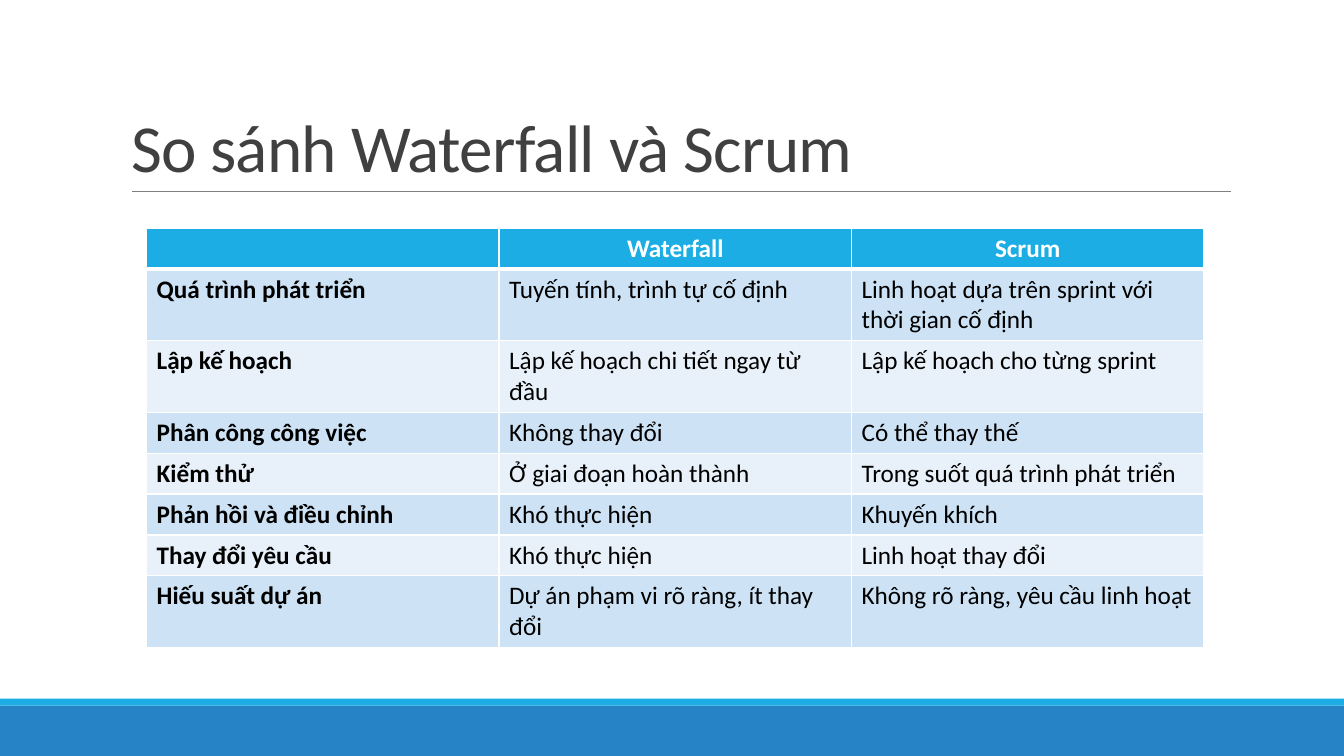
from lxml.etree import SubElement
from pptx import Presentation
from pptx.dml.color import RGBColor
from pptx.enum.shapes import MSO_CONNECTOR as Link, MSO_SHAPE as Shape
from pptx.enum.text import MSO_ANCHOR as Anchor, MSO_AUTO_SIZE as Fit, PP_ALIGN as Align
from pptx.oxml.ns import qn
from pptx.util import Pt

HEADS = ["", "Waterfall", "Scrum"]
ROWS = [
    ["Quá trình phát triển", "Tuyến tính, trình tự cố định",
     "Linh hoạt dựa trên sprint với thời gian cố định"],
    ["Lập kế hoạch", "Lập kế hoạch chi tiết ngay từ đầu", "Lập kế hoạch cho từng sprint"],
    ["Phân công công việc", "Không thay đổi", "Có thể thay thế"],
    ["Kiểm thử", "Ở giai đoạn hoàn thành", "Trong suốt quá trình phát triển"],
    ["Phản hồi và điều chỉnh", "Khó thực hiện", "Khuyến khích"],
    ["Thay đổi yêu cầu", "Khó thực hiện", "Linh hoạt thay đổi"],
    ["Hiếu suất dự án", "Dự án phạm vi rõ ràng, ít thay đổi",
     "Không rõ ràng, yêu cầu linh hoạt"],
]
BANDS = ["CDE3F5", "E8F1FA"]
SKY = "1CADE4"


def paint(target, color):
    """Give a fill or a line one solid colour."""
    fill = getattr(target, "fill", target)
    fill.solid()
    fill.fore_color.rgb = RGBColor.from_string(color)


def write(frame, text, size=18, color="000000", bold=False, align=Align.LEFT,
          lead=None, track=None):
    """Put formatted text into a text frame."""
    para = frame.paragraphs[0]
    para.alignment = align
    para.line_spacing = lead
    run = para.add_run()
    run.text = text
    font = run.font
    font.name, font.size, font.bold = "Calibri", Pt(size), bold
    paint(font, color)
    if track:
        run._r.get_or_add_rPr().set("spc", str(int(track * 100)))


def add_bar(slide, top, height, color):
    """Draw a bar across the full slide width."""
    bar = slide.shapes.add_shape(Shape.RECTANGLE, 0, Pt(top), Pt(960), Pt(height))
    bar.shadow.inherit = False
    paint(bar, color)
    bar.line.fill.background()


def add_rule(slide, left, right, top):
    """Draw the thin rule under the title."""
    rule = slide.shapes.add_connector(Link.STRAIGHT, Pt(left), Pt(top), Pt(right), Pt(top))
    paint(rule.line, "808080")
    rule.line.width = Pt(0.5)
    SubElement(rule._element.spPr, qn("a:effectLst"))


def add_title(slide, text):
    """Place and fill the title."""
    title = slide.shapes.title
    title.left, title.top, title.width, title.height = Pt(86.4), Pt(22.5), Pt(792), Pt(114.3)
    frame = title.text_frame
    frame.word_wrap = True
    frame.auto_size = Fit.NONE
    frame.vertical_anchor = Anchor.BOTTOM
    write(frame, text, size=48, color="404040", lead=0.85, track=-0.5)


def edge(cell, **widths):
    """Draw white cell borders with the given widths by side."""
    props = cell._tc.get_or_add_tcPr()
    for side, width in widths.items():
        line = SubElement(props, qn(f"a:ln{side}"), w=str(Pt(width)))
        SubElement(SubElement(line, qn("a:solidFill")), qn("a:srgbClr"), val="FFFFFF")


def add_grid(slide, heads, rows):
    """Build the comparison table."""
    count = len(rows) + 1
    table = slide.shapes.add_table(count, len(heads), Pt(104.7), Pt(163), Pt(755.4),
                                   Pt(29.2 * count)).table
    for i, row in enumerate([heads] + rows):
        head = i == 0
        for j, text in enumerate(row):
            cell = table.cell(i, j)
            edge(cell, L=1, R=1, T=3 if i == 1 else 1, B=3 if head else 1)
            paint(cell, SKY if head else BANDS[(i - 1) % 2])
            if text:
                write(cell.text_frame, text, bold=head or j == 0,
                      color="FFFFFF" if head else "000000",
                      align=Align.CENTER if head else Align.LEFT)


def main():
    """Build and save the slide."""
    deck = Presentation()
    deck.slide_width, deck.slide_height = Pt(960), Pt(540)
    slide = deck.slides.add_slide(deck.slide_layouts[5])
    add_bar(slide, 504, 36, "2683C6")
    add_bar(slide, 499, 5, SKY)
    add_rule(slide, 94.5, 879, 136.8)
    add_title(slide, "So sánh Waterfall và Scrum")
    add_grid(slide, HEADS, ROWS)
    deck.save("out.pptx")


if __name__ == "__main__":
    main()
